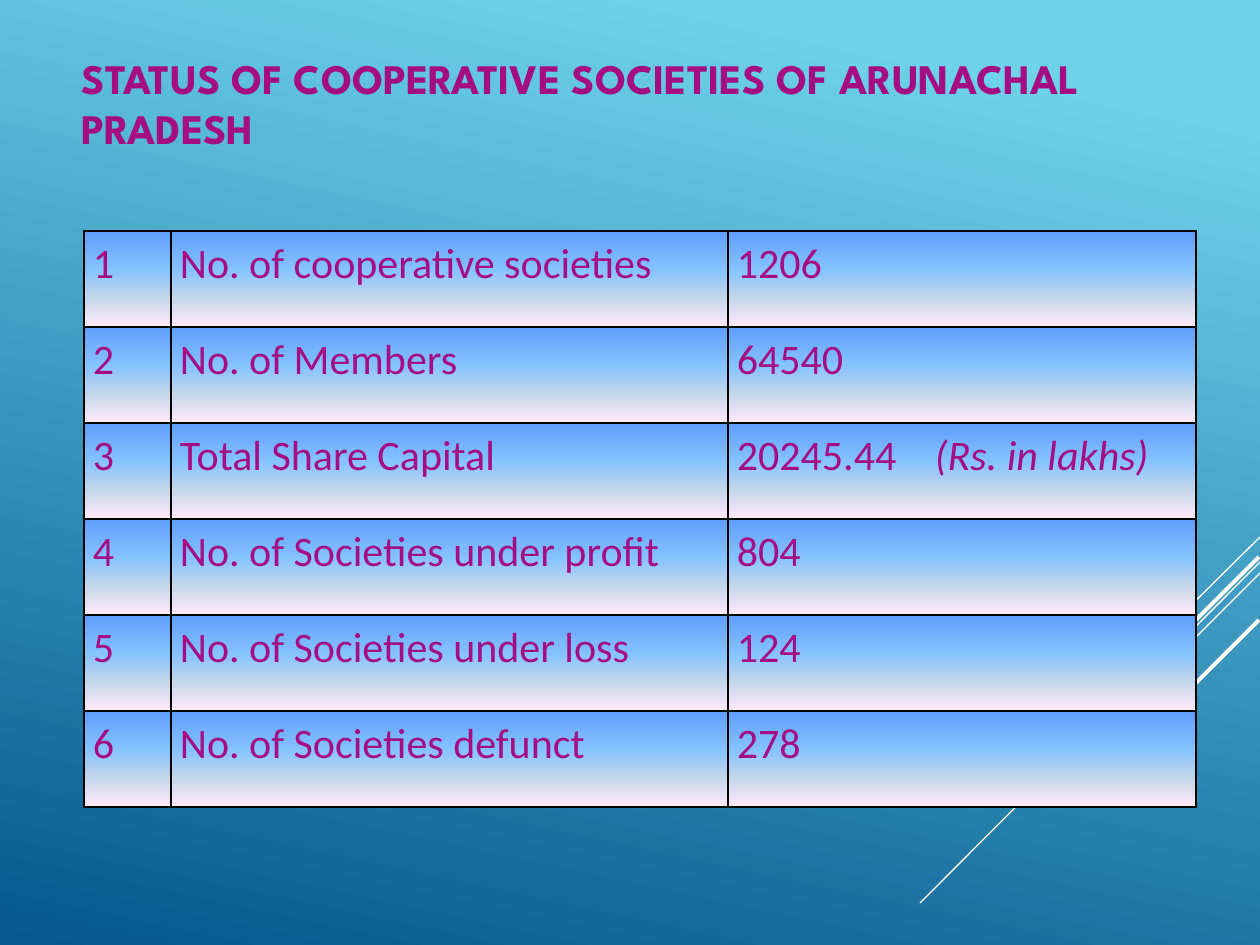
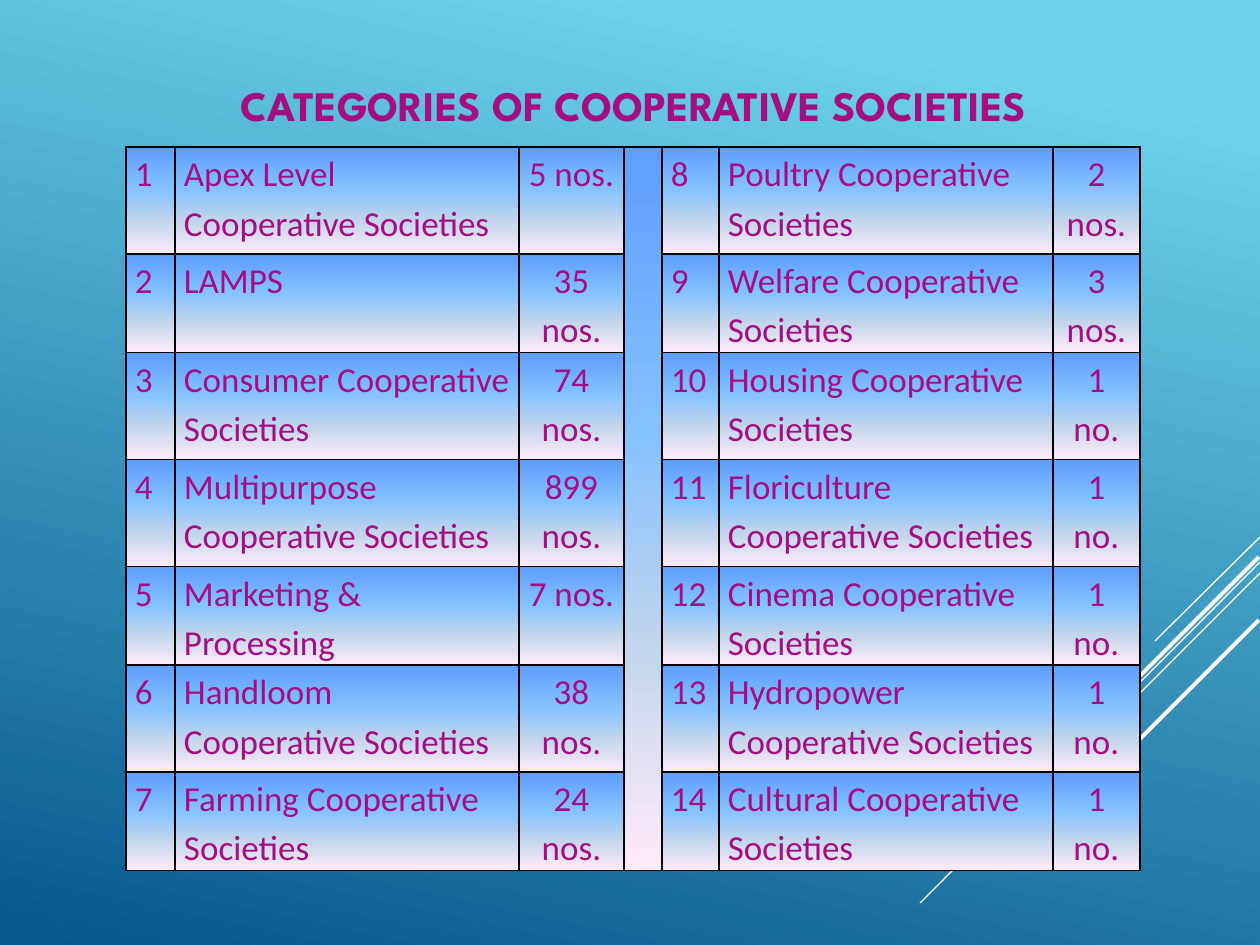
import dataclasses

import pptx
import pptx.dml.color
import pptx.enum.shapes
import pptx.enum.text
import pptx.oxml
import pptx.oxml.ns
import pptx.util

Align = pptx.enum.text.PP_ALIGN
Anchor = pptx.enum.text.MSO_ANCHOR


@dataclasses.dataclass(frozen=True)
class Theme:
    ink: str = "A50E82"
    line: str = "FFFFFF"
    edge: str = "000000"
    sky: tuple = ((10, "6ED2EB"), (100, "06588E"))
    cell: tuple = ((0, "5E9EFF"), (40, "85C2FF"), (70, "C4D6EB"), (100, "FFEBFA"))
    head: str = "League Spartan"
    body: str = "Calibri"
    title: float = 24
    large: float = 24
    small: float = 20
    lead: float = 1.15


THEME = Theme()

RAYS = (
    (1260, 537, 1155, 641, 0.75),
    (1260, 562, 920, 903, 0.75),
    (1260, 573, 1043, 790, 0.75),
    (1259, 557, 1061, 755, 2.25),
    (1259, 620, 1115, 764, 2.25),
)

STATUS = (
    ("No. of cooperative societies", "1206"),
    ("No. of Members", "64540"),
    ("Total Share Capital", (("20245.44\t", False), ("(Rs. in lakhs)", True))),
    ("No. of Societies under profit", "804"),
    ("No. of Societies under loss", "124"),
    ("No. of Societies defunct", "278"),
)

GROUPS = (
    ("Apex Level Cooperative Societies", 5),
    ("LAMPS", 35),
    ("Consumer Cooperative Societies", 74),
    ("Multipurpose Cooperative Societies", 899),
    ("Marketing & Processing", 7),
    ("Handloom Cooperative Societies", 38),
    ("Farming Cooperative Societies", 24),
    ("Poultry Cooperative Societies", 2),
    ("Welfare Cooperative Societies", 3),
    ("Housing Cooperative Societies", 1),
    ("Floriculture Cooperative Societies", 1),
    ("Cinema Cooperative Societies", 1),
    ("Hydropower Cooperative Societies", 1),
    ("Cultural Cooperative Societies", 1),
)


def px(count):
    return pptx.util.Emu(round(count * 914400 / 126))


def tint(code):
    return pptx.dml.color.RGBColor.from_string(code)


def node(tag, inner="", extra=""):
    space = pptx.oxml.ns.nsdecls("a")
    return pptx.oxml.parse_xml(f"<a:{tag} {space} {extra}>{inner}</a:{tag}>")


def write(frame, text, size, font=THEME.body, align=Align.LEFT, bold=False, lead=None, tab=None):
    para = frame.paragraphs[0]
    para.alignment = align
    if lead:
        para.line_spacing = lead
    if tab:
        stop = f'<a:tab pos="{px(tab)}" algn="l"/>'
        para._p.get_or_add_pPr().append(node("tabLst", stop))
    for words, slant in ((text, False),) if isinstance(text, str) else text:
        run = para.add_run()
        run.text = words
        run.font.size = pptx.util.Pt(size)
        run.font.name = font
        run.font.bold = bold
        run.font.italic = slant
        run.font.color.rgb = tint(THEME.ink)


def shade(fill, owner, stops, angle):
    fill.gradient()
    fill.gradient_angle = 360 - angle
    group = owner.find(".//" + pptx.oxml.ns.qn("a:gsLst"))
    for stop in list(group):
        group.remove(stop)
    for spot, code in stops:
        group.append(node("gs", f'<a:srgbClr val="{code}"/>', f'pos="{spot * 1000}"'))


def edge(cell):
    props = cell._tc.get_or_add_tcPr()
    ink = f'<a:solidFill><a:srgbClr val="{THEME.edge}"/></a:solidFill>'
    for place, side in enumerate(("lnL", "lnR", "lnT", "lnB")):
        props.insert(place, node(side, ink, f'w="{pptx.util.Pt(1)}"'))


def add_ray(slide, left, top, right, base, width):
    ray = slide.shapes.add_connector(
        pptx.enum.shapes.MSO_CONNECTOR.STRAIGHT, px(left), px(top), px(right), px(base))
    ray.line.color.rgb = tint(THEME.line)
    ray.line.width = pptx.util.Pt(width)
    ray._element.spPr.append(node("effectLst"))


def add_slide(deck, text, box, align=Align.LEFT, anchor=Anchor.MIDDLE, wrap=True):
    slide = deck.slides.add_slide(deck.slide_layouts[5])
    for ray in RAYS:
        add_ray(slide, *ray)
    title = slide.shapes.title
    title.left, title.top, title.width, title.height = map(px, box)
    frame = title.text_frame
    frame.word_wrap = wrap
    frame.auto_size = pptx.enum.text.MSO_AUTO_SIZE.NONE
    frame.vertical_anchor = anchor
    write(frame, text, THEME.title, font=THEME.head, align=align, bold=True)
    return slide


def add_grid(slide, left, top, cols, rows, data, size, aligns, tab=None):
    grid = slide.shapes.add_table(
        len(rows), len(cols), px(left), px(top), px(sum(cols)), px(sum(rows))).table
    grid.first_row = grid.horz_banding = False
    for col, width in zip(grid.columns, cols):
        col.width = px(width)
    for row, height, texts in zip(grid.rows, rows, data):
        row.height = px(height)
        for cell, text, align in zip(row.cells, texts, aligns):
            cell.margin_left = cell.margin_right = px(9)
            cell.margin_top = cell.margin_bottom = 0
            shade(cell.fill, cell._tc, THEME.cell, 90)
            edge(cell)
            if text:
                stop = None if isinstance(text, str) else tab
                write(cell.text_frame, text, size, align=align, lead=THEME.lead, tab=stop)
    return grid


def add_status(deck):
    slide = add_slide(deck, "STATUS OF COOPERATIVE SOCIETIES OF ARUNACHAL PRADESH",
                      (69, 46, 1134, 158), anchor=Anchor.TOP)
    data = [(str(count), *row) for count, row in enumerate(STATUS, 1)]
    add_grid(slide, 84, 231, (87, 557, 468), [96] * len(data), data, THEME.large,
             [Align.LEFT] * 3, tab=198)


def add_groups(deck):
    slide = add_slide(deck, "CATEGORIES OF COOPERATIVE SOCIETIES", (204, 73, 859, 63),
                      align=Align.CENTER, wrap=False)
    items = [(str(count), name, f"{total} no." if total == 1 else f"{total} nos.")
             for count, (name, total) in enumerate(GROUPS, 1)]
    half = len(items) // 2
    data = [(*one, "", *two) for one, two in zip(items[:half], items[half:])]
    side = [Align.LEFT, Align.LEFT, Align.CENTER]
    grid = add_grid(slide, 126, 147, (49, 344, 105, 38, 57, 334, 87),
                    (107, 97, 107, 107, 97, 107, 97), data, THEME.small,
                    side + [Align.LEFT] + side)
    grid.cell(0, 3).merge(grid.cell(half - 1, 3))


def main():
    deck = pptx.Presentation()
    deck.slide_width, deck.slide_height = px(1260), px(945)
    master = deck.slide_master
    shade(master.background.fill, master.element, THEME.sky, 102)
    add_status(deck)
    add_groups(deck)
    deck.save("out.pptx")


if __name__ == "__main__":
    main()
